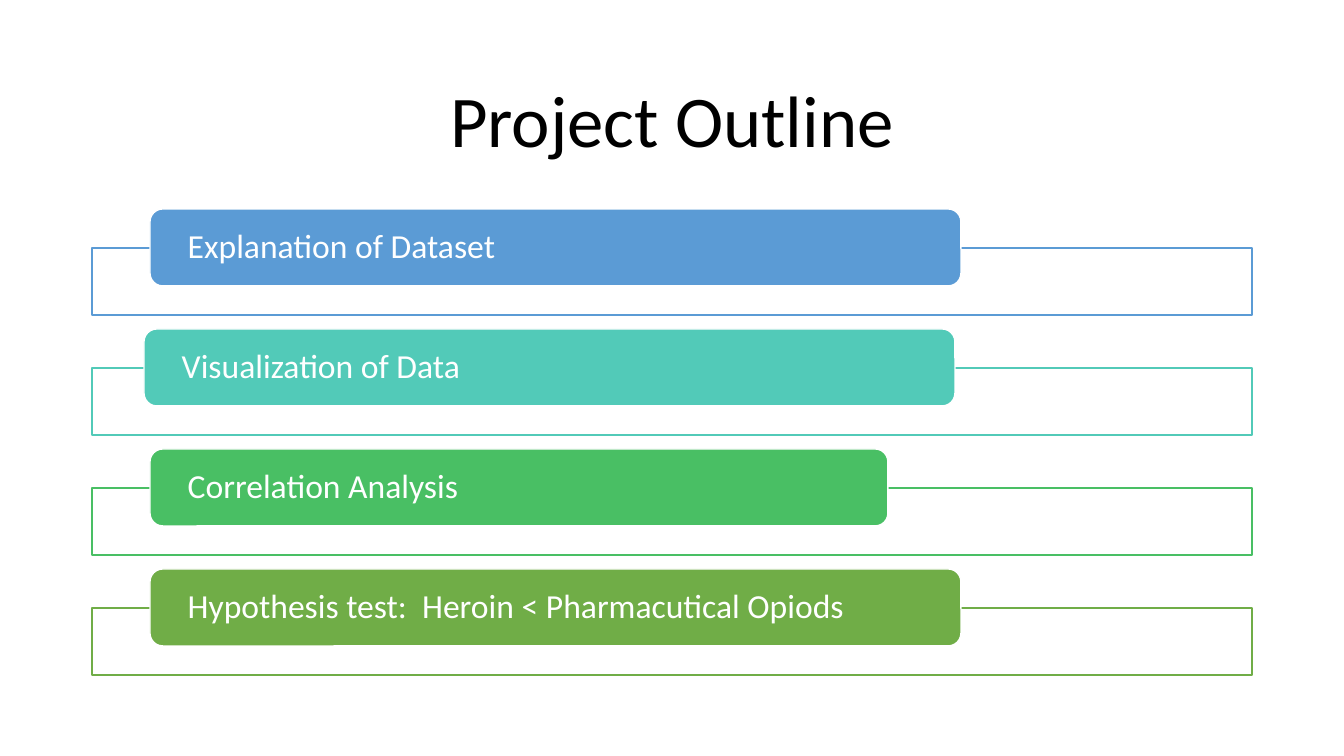
"""Build the project outline slide."""
import pptx
import pptx.dml.color
import pptx.enum.shapes
import pptx.enum.text
import pptx.oxml
import pptx.oxml.ns
import pptx.util

RGBColor = pptx.dml.color.RGBColor
SHAPES = pptx.enum.shapes.MSO_SHAPE
ALIGN = pptx.enum.text.PP_ALIGN
MIDDLE = pptx.enum.text.MSO_ANCHOR.MIDDLE

WHITE = RGBColor(0xFF, 0xFF, 0xFF)
BLACK = RGBColor(0, 0, 0)
BLUE = RGBColor(0x5B, 0x9B, 0xD5)
TEAL = RGBColor(0x52, 0xCA, 0xB8)
GREEN = RGBColor(0x49, 0xBF, 0x64)
OLIVE = RGBColor(0x70, 0xAD, 0x47)

TITLE = "Project Outline"
STEPS = [
    ("Explanation of Dataset", BLUE, 150, 811),
    ("Visualization of Data", TEAL, 144, 811),
    ("Correlation Analysis", GREEN, 150, 738),
    ("Hypothesis test:  Heroin < Pharmacutical Opiods", OLIVE, 150, 811),
]

PX_PER_INCH = 100.8
PAGE_SIZE = (1344, 756)
TITLE_BOX = (92, 61, 1160, 125)
LEFT, WIDTH = 92, 1160
FIRST_TOP, PITCH = 209, 120
LABEL_HEIGHT, FRAME_HEIGHT, FRAME_DROP = 77, 67, 39
INSET = 34


def px(length):
    """Turn pixels into EMU."""
    return pptx.util.Inches(length / PX_PER_INCH)


def set_all(target, values):
    """Set each attribute named in a dict."""
    for name, value in values.items():
        setattr(target, name, value)


def place(shape, box):
    """Move and size a shape in pixels."""
    set_all(shape, dict(zip(("left", "top", "width", "height"), map(px, box))))


def write(shape, text, size, color, align, inset):
    """Fill a shape with one formatted line of text."""
    frame = shape.text_frame
    frame.text = text
    set_all(frame, {
        "word_wrap": True, "vertical_anchor": MIDDLE,
        "auto_size": pptx.enum.text.MSO_AUTO_SIZE.NONE,
        "margin_left": px(inset), "margin_right": px(inset),
        "margin_top": 0, "margin_bottom": 0,
    })
    para = frame.paragraphs[0]
    set_all(para, {"alignment": align, "line_spacing": 0.9})
    font = para.runs[0].font
    set_all(font, {"name": "Calibri", "size": pptx.util.Pt(size)})
    font.color.rgb = color


def add_box(page, kind, box, fill, line):
    """Add a filled and outlined shape."""
    shape = page.shapes.add_shape(kind, *map(px, box))
    shape.shadow.inherit = False
    shape.fill.solid()
    shape.fill.fore_color.rgb = fill
    shape.line.color.rgb = line
    shape.line.width = pptx.util.Pt(1)
    return shape


def main():
    """Build and save the deck."""
    deck = pptx.Presentation()
    set_all(deck, dict(zip(("slide_width", "slide_height"), map(px, PAGE_SIZE))))
    page = deck.slides.add_slide(deck.slide_layouts[5])
    title = page.shapes.title
    place(title, TITLE_BOX)
    write(title, TITLE, 52, BLACK, ALIGN.CENTER, 10)

    for index, (text, color, left, width) in enumerate(STEPS):
        top = FIRST_TOP + index * PITCH
        frame_box = (LEFT, top + FRAME_DROP, WIDTH, FRAME_HEIGHT)
        frame = add_box(page, SHAPES.RECTANGLE, frame_box, WHITE, color)
        fill_color = frame.element.find(".//" + pptx.oxml.ns.qn("a:srgbClr"))
        alpha = pptx.oxml.parse_xml(f'<a:alpha {pptx.oxml.ns.nsdecls("a")} val="90000"/>')
        fill_color.append(alpha)
        label_box = (left, top, width, LABEL_HEIGHT)
        label = add_box(page, SHAPES.ROUNDED_RECTANGLE, label_box, color, WHITE)
        write(label, text, 24, WHITE, ALIGN.LEFT, INSET)
    deck.save("out.pptx")


if __name__ == "__main__":
    main()
